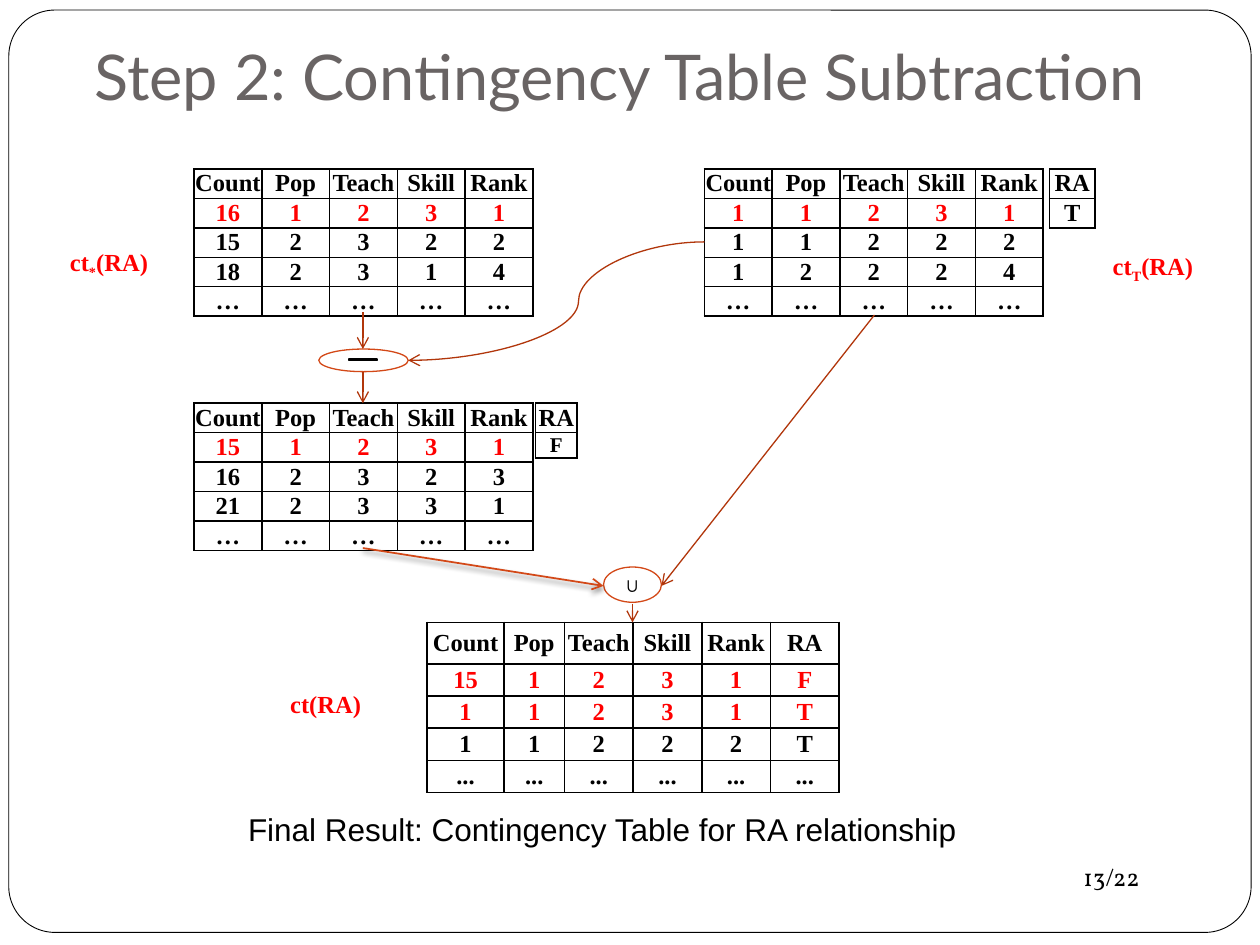
from lxml import etree
from pptx import Presentation
from pptx.dml.color import RGBColor
from pptx.enum.shapes import MSO_CONNECTOR, MSO_SHAPE
from pptx.enum.text import MSO_ANCHOR, PP_ALIGN
from pptx.oxml.ns import qn
from pptx.util import Inches, Pt

STRAIGHT, CURVE = MSO_CONNECTOR.STRAIGHT, MSO_CONNECTOR.CURVE
OVAL, MINUS, ROUNDED = MSO_SHAPE.OVAL, MSO_SHAPE.MATH_MINUS, MSO_SHAPE.ROUNDED_RECTANGLE
MIDDLE, BOTTOM, CENTER = MSO_ANCHOR.MIDDLE, MSO_ANCHOR.BOTTOM, PP_ALIGN.CENTER

BLACK = RGBColor(0x00, 0x00, 0x00)
WHITE = RGBColor(0xFF, 0xFF, 0xFF)
RED = RGBColor(0xFF, 0x00, 0x00)
GRAY = RGBColor(0x69, 0x64, 0x64)
ORANGE = RGBColor(0xD3, 0x48, 0x17)
RUST = RGBColor(0xB1, 0x36, 0x0B)

SERIF = "Times New Roman"
HEADER = ["Count", "Pop", "Teach", "Skill", "Rank"]
DOTS = "\u2026"


def style_run(run, size, font, color, bold=False):
    run.font.size = Pt(size)
    run.font.name = font
    run.font.color.rgb = color
    run.font.bold = bold


def add_text(slide, at, text, size, font, color):
    box = slide.shapes.add_textbox(*map(Inches, at))
    frame = box.text_frame
    frame.word_wrap = True
    frame.text = text
    style_run(frame.paragraphs[0].runs[0], size, font, color)
    return frame


def add_outline(slide, kind, at, line, width=0.75, fill=None):
    shape = slide.shapes.add_shape(kind, *map(Inches, at))
    shape.shadow.inherit = False
    if fill is None:
        shape.fill.background()
    else:
        shape.fill.solid()
        shape.fill.fore_color.rgb = fill
    shape.line.color.rgb = line
    shape.line.width = Pt(width)
    return shape


def add_oval_text(slide, at, parts, size, color, line, fill=None):
    """Parts are (text, baseline shift) pairs."""
    oval = add_outline(slide, OVAL, at, line, fill=fill)
    frame = oval.text_frame
    frame.margin_left = frame.margin_right = frame.margin_top = frame.margin_bottom = 0
    frame.vertical_anchor = MIDDLE
    paragraph = frame.paragraphs[0]
    paragraph.alignment = CENTER
    for text, shift in parts:
        run = paragraph.add_run()
        run.text = text
        style_run(run, size, SERIF, color, True)
        if shift:
            run.font._element.set("baseline", str(shift * 1000))


def add_arrow(slide, start, end, kind=STRAIGHT, color=RUST, width=0.75, shadow=False):
    arrow = slide.shapes.add_connector(kind, *map(Inches, start + end))
    arrow.line.color.rgb = color
    arrow.line.width = Pt(width)
    etree.SubElement(arrow.line._get_or_add_ln(), qn("a:tailEnd"), type="arrow")
    effects = etree.SubElement(arrow._element.spPr, qn("a:effectLst"))
    if shadow:
        outer = etree.SubElement(effects, qn("a:outerShdw"), blurRad=str(Pt(3)),
                                 dist=str(Pt(2)), dir="5400000", rotWithShape="0")
        tint = etree.SubElement(outer, qn("a:srgbClr"), val=str(BLACK))
        etree.SubElement(tint, qn("a:alpha"), val="50000")
    return arrow


def add_border(cell):
    properties = cell._tc.get_or_add_tcPr()
    for side in ("lnL", "lnR", "lnT", "lnB"):
        edge = etree.SubElement(properties, qn("a:" + side), w=str(Pt(1)))
        fill = etree.SubElement(edge, qn("a:solidFill"))
        etree.SubElement(fill, qn("a:srgbClr"), val=str(BLACK))


def fill_cell(cell, text, size, color, fill):
    cell.margin_left = cell.margin_right = cell.margin_top = cell.margin_bottom = 0
    cell.vertical_anchor = MIDDLE
    if text in (DOTS, "..."):
        cell._tc.get_or_add_tcPr().set("vert", "eaVert")
    add_border(cell)
    if fill is None:
        cell.fill.background()
    else:
        cell.fill.solid()
        cell.fill.fore_color.rgb = fill
    cell.text = text
    paragraph = cell.text_frame.paragraphs[0]
    paragraph.alignment = CENTER
    style_run(paragraph.runs[0], size, SERIF, color, True)


def add_count_table(slide, left, top, widths, heights, rows, red_rows=(), fill=WHITE,
                    last_size=14):
    frame = slide.shapes.add_table(len(rows), len(widths), Inches(left), Inches(top),
                                   Inches(sum(widths)), Inches(sum(heights)))
    table = frame.table
    table.first_row = table.horz_banding = False
    for column, width in zip(table.columns, widths):
        column.width = Inches(width)
    for r, (values, height) in enumerate(zip(rows, heights)):
        table.rows[r].height = Inches(height)
        color = RED if r in red_rows else BLACK
        size = last_size if r == len(rows) - 1 else 14
        for c, value in enumerate(values):
            fill_cell(table.cell(r, c), value, size, color, fill)


def main():
    prs = Presentation()
    prs.slide_width, prs.slide_height = Inches(10), Inches(7.5)
    slide = prs.slides.add_slide(prs.slide_layouts[6])

    # Slide frame, title and page number
    border = add_outline(slide, ROUNDED, (0.07, 0.08, 9.86, 7.32), BLACK, 0.5, WHITE)
    border.adjustments[0] = 0.05
    title = add_text(slide, (0.65, 0.28, 8.92, 0.72),
                     "Step 2: Contingency Table Subtraction", 36, "Lato", GRAY)
    title.vertical_anchor = BOTTOM
    title.margin_bottom = Inches(0.1)
    add_text(slide, (8.5, 6.79, 1, 0.34), "13/22", 14, "Vollkorn", BLACK)

    # Five-column count tables: left, top, last row height, fill, values
    count_tables = [
        (1.54, 1.34, 0.2, WHITE, ["16 1 2 3 1", "15 2 3 2 2", "18 2 3 1 4"]),
        (5.59, 1.34, 0.23, None, ["1 1 2 3 1", "1 1 2 2 2", "1 2 2 2 4"]),
        (1.54, 3.2, 0.22, WHITE, ["15 1 2 3 1", "16 2 3 2 3", "21 2 3 3 1"]),
    ]
    for left, top, last_height, fill, counts in count_tables:
        rows = [HEADER] + [line.split() for line in counts] + [[DOTS] * 5]
        add_count_table(slide, left, top, [2.69 / 5] * 5, [0.23] * 4 + [last_height],
                        rows, {1}, fill)

    # Relationship value beside a count table
    add_count_table(slide, 4.25, 3.2, [0.33], [0.23, 0.2], [["RA"], ["F"]], last_size=12)
    add_count_table(slide, 8.33, 1.34, [0.36], [0.23, 0.23], [["RA"], ["T"]])

    # Union result
    union_rows = [HEADER + ["RA"]]
    union_rows += [line.split() for line in ("15 1 2 3 1 F", "1 1 2 3 1 T", "1 1 2 2 2 T")]
    union_rows.append(["..."] * 6)
    add_count_table(slide, 3.39, 4.94, [0.61, 0.48] + [2.18 / 4] * 4,
                    [0.33] + [1.02 / 4] * 4, union_rows, {1, 2})

    # Operators
    add_outline(slide, OVAL, (2.53, 2.77, 0.71, 0.18), ORANGE)
    add_outline(slide, MINUS, (2.73, 2.83, 0.3, 0.05), BLACK, 1, WHITE)
    add_oval_text(slide, (4.79, 4.5, 0.46, 0.28), [("\u222a", 0)], 12, BLACK, ORANGE)

    # Table names
    names = [
        ((0.35, 1.93, 1.03, 0.33), [("ct", 0), ("*", -25), ("(RA)", 0)], WHITE),
        ((8.54, 1.96, 1.22, 0.33), [("ct", 0), ("T", -25), ("(RA)", 0)], None),
        ((2.07, 5.42, 1.03, 0.33), [("ct(RA)", 0)], WHITE),
    ]
    for at, parts, fill in names:
        add_oval_text(slide, at, parts, 14, RED, WHITE, fill)

    # Flow arrows
    for start, end in [((2.88, 2.48), (2.88, 2.77)), ((2.88, 2.95), (2.88, 3.2)),
                       ((5.02, 4.79), (5.02, 4.94)), ((6.94, 2.5), (5.25, 4.65))]:
        add_arrow(slide, start, end)
    add_arrow(slide, (2.88, 4.35), (4.79, 4.65), color=ORANGE, width=1, shadow=True)
    curve = add_arrow(slide, (5.59, 1.92), (3.24, 2.86), CURVE)
    bends = curve._element.spPr.find(qn("a:prstGeom")).find(qn("a:avLst"))
    etree.SubElement(bends, qn("a:gd"), name="adj1", fmla="val 42500")

    # Caption
    add_text(slide, (1.87, 6.38, 6.11, 0.4),
             "Final Result: Contingency Table for RA relationship", 18, "Arial", BLACK)

    prs.save("out.pptx")


main()
